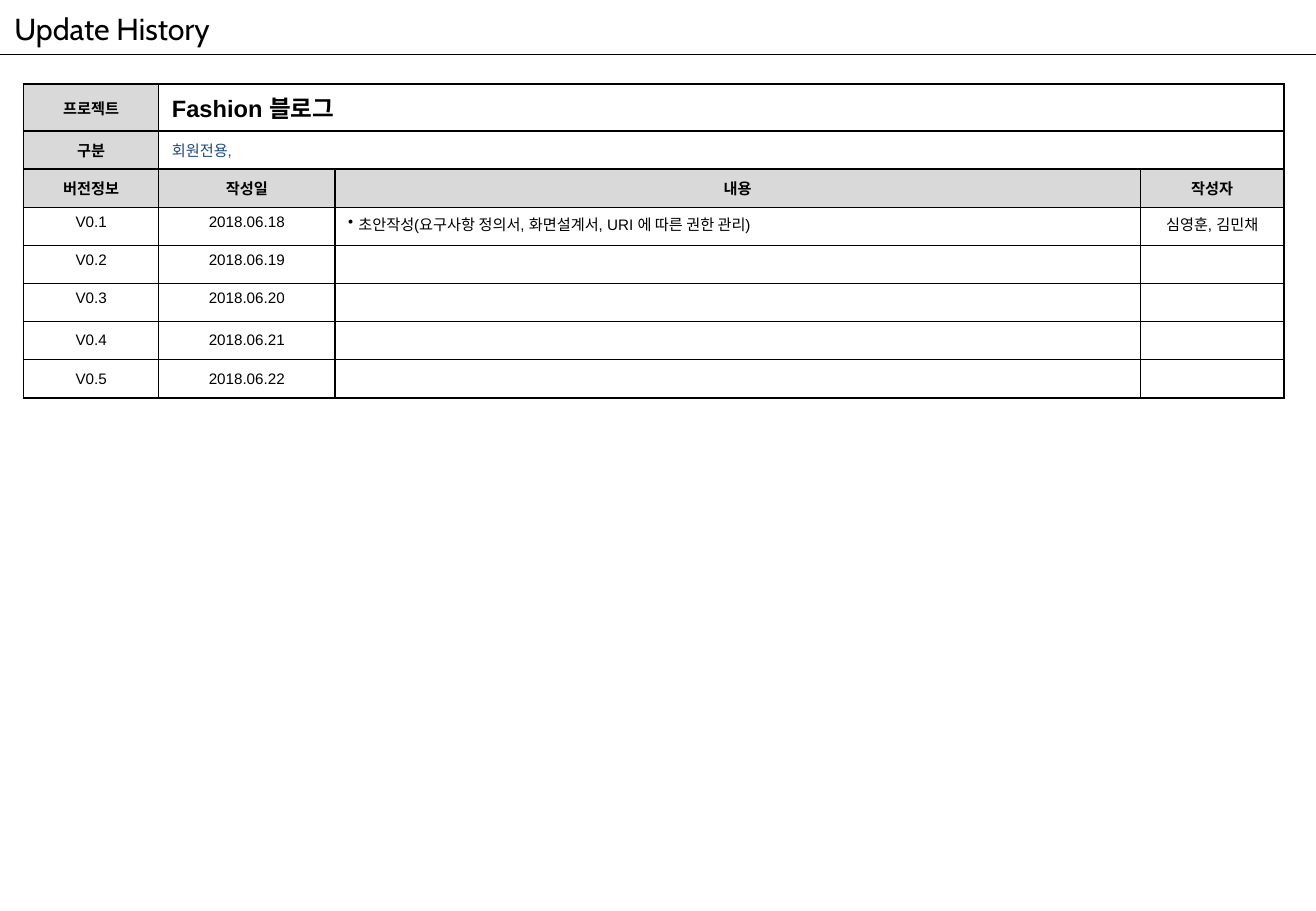
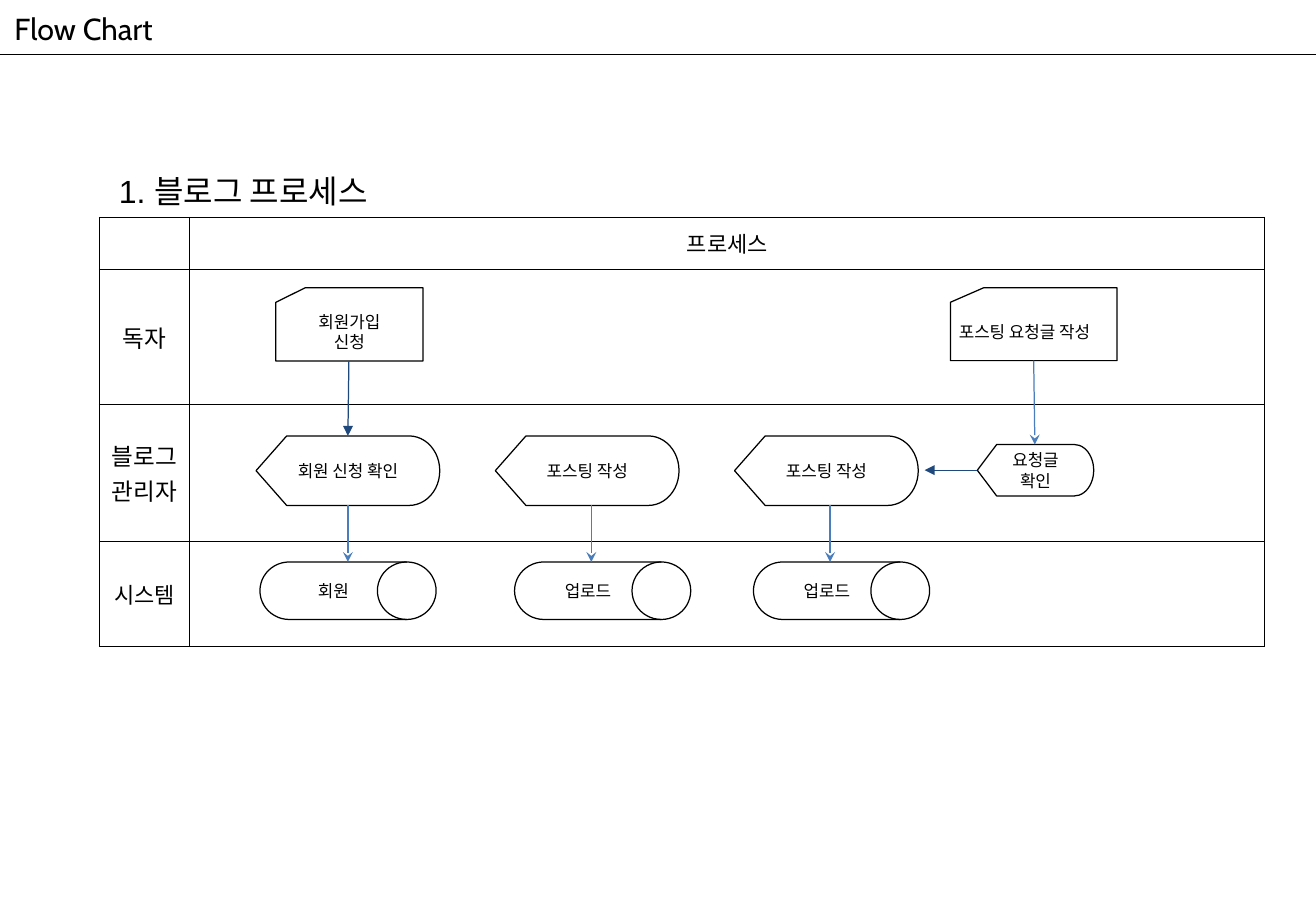
"""Build the update history and flow chart slides of a blog plan."""
from lxml.etree import SubElement
from pptx import Presentation
from pptx.dml.color import RGBColor
from pptx.enum.shapes import MSO_CONNECTOR, MSO_SHAPE
from pptx.enum.text import MSO_ANCHOR, MSO_AUTO_SIZE, PP_ALIGN
from pptx.oxml.ns import qn
from pptx.util import Pt

HUES = {"ink": "000000", "paper": "FFFFFF", "head": "D9D9D9",
        "navy": "1F497D", "blue": "4A7DBB"}
LEFT, MID = PP_ALIGN.LEFT, PP_ALIGN.CENTER


def hue(name):
    return RGBColor.from_string(HUES[name])


def pad(item, side, edge):
    item.margin_left = item.margin_right = Pt(side)
    item.margin_top = item.margin_bottom = Pt(edge)


class Deck:
    def __init__(self):
        self.file = Presentation()
        self.file.slide_width, self.file.slide_height = Pt(780), Pt(540)
        self.slide = None

    def put(self, frame, text, size, align=LEFT, bold=False, color="ink", font="Arial"):
        frame.text = text
        for para in frame.paragraphs:
            para.alignment = align
            para.font.name, para.font.size = font, Pt(size)
            para.font.bold = bold
            para.font.color.rgb = hue(color)
            if not text:
                SubElement(para._p, qn("a:endParaRPr"), sz=str(size * 100))

    def page(self, title):
        self.slide = self.file.slides.add_slide(self.file.slide_layouts[5])
        self.line(0, 32.4, 780, 32.4, "ink")
        head = self.slide.shapes.title
        head.left, head.top, head.width, head.height = Pt(0), Pt(1.5), Pt(341), Pt(29)
        frame = head.text_frame
        frame.auto_size = MSO_AUTO_SIZE.NONE
        frame.vertical_anchor = MSO_ANCHOR.TOP
        pad(frame, 8.6, 4.3)
        self.put(frame, title, 18, font="Cabin")

    def line(self, x1, y1, x2, y2, color, tip=None):
        link = self.slide.shapes.add_connector(
            MSO_CONNECTOR.STRAIGHT, Pt(x1), Pt(y1), Pt(x2), Pt(y2))
        link.line.color.rgb = hue(color)
        link.line.width = Pt(0.75)
        props = link._element.spPr
        if tip:
            SubElement(props.find(qn("a:ln")), qn("a:tailEnd"), type=tip)
        SubElement(props, qn("a:effectLst"))

    def label(self, x, y, w, h, text, size):
        frame = self.slide.shapes.add_textbox(Pt(x), Pt(y), Pt(w), Pt(h)).text_frame
        frame.word_wrap = True
        pad(frame, 5, 2.9)
        self.put(frame, text, size)

    def node(self, kind, x, y, w, h, text, align=MID):
        shape = self.slide.shapes.add_shape(kind, Pt(x), Pt(y), Pt(w), Pt(h))
        shape.shadow.inherit = False
        shape.fill.solid()
        shape.fill.fore_color.rgb = hue("paper")
        shape.line.color.rgb = hue("ink")
        shape.line.width = Pt(0.75)
        pad(shape.text_frame, 5, 2.9)
        shape.text_frame.vertical_anchor = MSO_ANCHOR.MIDDLE
        self.put(shape.text_frame, text, 10, align)

    def grid(self, x, y, cols, rows, border):
        table = self.slide.shapes.add_table(
            len(rows), len(cols), Pt(x), Pt(y), Pt(sum(cols)), Pt(sum(rows))).table
        table.first_row = table.horz_banding = False
        for col, width in zip(table.columns, cols):
            col.width = Pt(width)
        for row, height in zip(table.rows, rows):
            row.height = Pt(height)
        for cell in table.iter_cells():
            for side in ("L", "R", "T", "B"):
                edge = SubElement(cell._tc.get_or_add_tcPr(), qn(f"a:ln{side}"),
                                  w=str(Pt(border)))
                paint = SubElement(edge, qn("a:solidFill"))
                SubElement(paint, qn("a:srgbClr"), val=HUES["ink"])
            cell.fill.background()
        return table

    def cell(self, cell, text, size, inset, align=MID, anchor=MSO_ANCHOR.MIDDLE,
             fill=None, **style):
        pad(cell, *inset)
        cell.vertical_anchor = anchor
        if fill:
            cell.fill.solid()
            cell.fill.fore_color.rgb = hue(fill)
        self.put(cell.text_frame, text, size, align, **style)


def history(deck):
    deck.page("Update History")
    table = deck.grid(14, 49.9, [80, 104.5, 477.5, 85], [27.8] + [22.6] * 7, 1)
    inset = (7.9, 3.6)
    tops = [("프로젝트", "Fashion 블로그", 14, True, "ink"),
            ("구분", "회원전용,", 9, False, "navy")]
    for r, (name, value, size, bold, color) in enumerate(tops):
        table.cell(r, 1).merge(table.cell(r, 3))
        deck.cell(table.cell(r, 0), name, 9, inset, fill="head", bold=True)
        deck.cell(table.cell(r, 1), value, size, inset, LEFT, bold=bold, color=color)
    for c, name in enumerate(["버전정보", "작성일", "내용", "작성자"]):
        deck.cell(table.cell(2, c), name, 9, inset, fill="head", bold=True)
    notes = {1: ("초안작성(요구사항 정의서, 화면설계서, URI 에 따른 권한 관리)", "심영훈, 김민채")}
    for n in range(1, 6):
        anchor = MSO_ANCHOR.TOP if n < 4 else MSO_ANCHOR.MIDDLE
        texts = (f"V0.{n}", f"2018.06.{17 + n}", *notes.get(n, ("", "")))
        for c, text in enumerate(texts):
            deck.cell(table.cell(n + 2, c), text, 9, inset, LEFT if c == 2 else MID, anchor)
    props = table.cell(3, 2).text_frame.paragraphs[0]._p.get_or_add_pPr()
    props.set("marL", str(Pt(6)))
    props.set("indent", str(-Pt(6)))
    bullet = props.makeelement(qn("a:buChar"), {"char": "•"})
    props.insert(0, bullet)


def flow(deck):
    deck.page("Flow Chart")
    table = deck.grid(59, 128.9, [53.4, 637.2], [30.8, 80, 81.2, 62.2], 0.75)
    lanes = [("", 13), ("독자", 14), ("블로그 관리자", 14), ("시스템", 13)]
    for r, (name, size) in enumerate(lanes):
        deck.cell(table.cell(r, 0), name, size, (5.8, 2.9))
        deck.cell(table.cell(r, 1), "" if r else "프로세스", 13, (5.8, 2.9))
    deck.label(65.5, 98.6, 239, 33, "1. 블로그 프로세스", 19)

    card, show = MSO_SHAPE.FLOWCHART_CARD, MSO_SHAPE.FLOWCHART_DISPLAY
    drum = MSO_SHAPE.FLOWCHART_DIRECT_ACCESS_STORAGE
    deck.node(card, 163.4, 170.6, 87.4, 43.4, "회원가입\n신청")
    deck.node(card, 563.3, 170.6, 98.8, 43.2, "포스팅 요청글 작성", LEFT)
    deck.node(show, 579.3, 263.5, 69, 30.5, "요청글\n확인")
    steps = [("회원 신청 확인", "회원", 154.1, 206.2),
             ("포스팅 작성", "업로드", 305, 350.5),
             ("포스팅 작성", "업로드", 446.6, 492)]
    for i, (task, store, x, mid) in enumerate(steps):
        deck.node(show, 151.8 + 141.8 * i, 258.4, 108.9, 41.2, task)
        deck.node(drum, x, 333.1, 104.4, 34.1, store)
        deck.line(mid, 299.6, mid, 333.1, "blue", "stealth")
    deck.line(612.7, 213.8, 613.4, 263.5, "blue", "stealth")
    deck.line(206.8, 214, 206.2, 258.4, "navy", "triangle")
    deck.line(579.3, 278.7, 548, 278.7, "navy", "triangle")


def main():
    deck = Deck()
    history(deck)
    flow(deck)
    deck.file.save("out.pptx")


if __name__ == "__main__":
    main()
